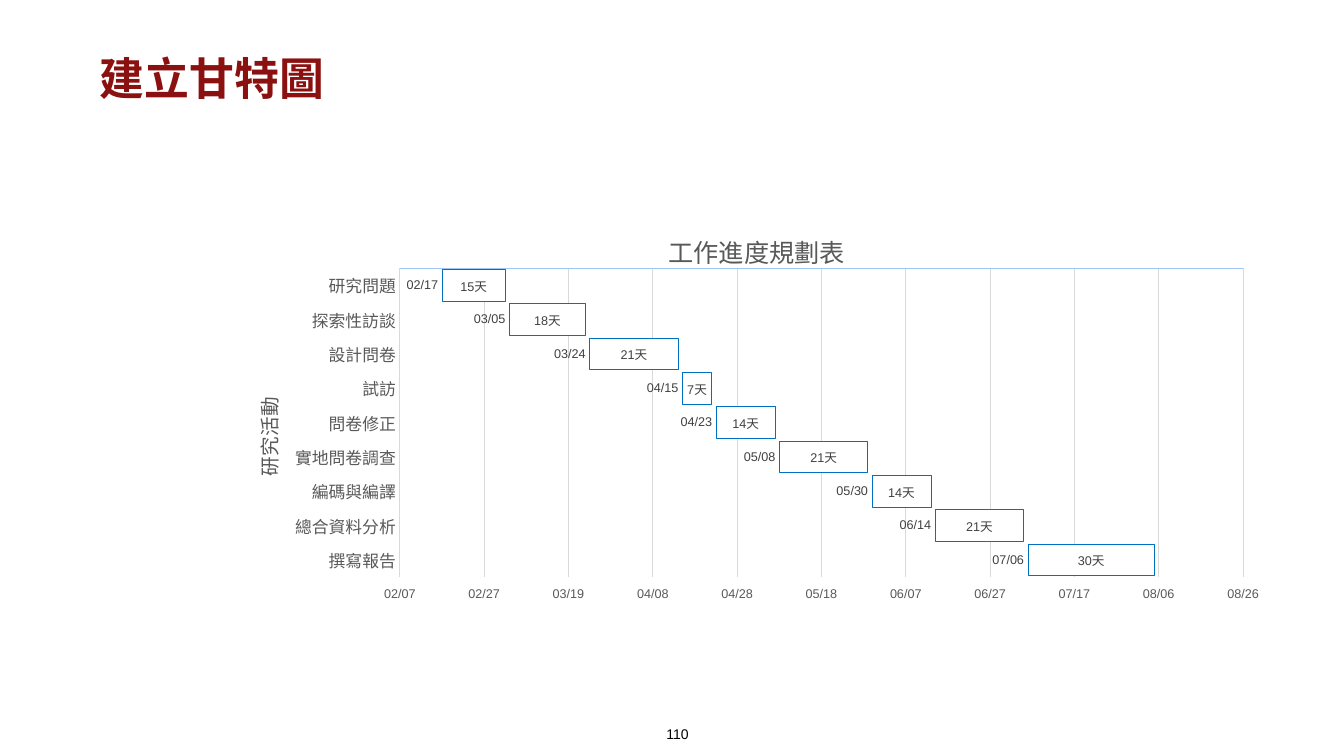
from lxml import etree
from pptx import Presentation
from pptx.chart.data import CategoryChartData
from pptx.dml.color import RGBColor
from pptx.enum import chart as kinds, text
from pptx.oxml.ns import qn
from pptx.util import Inches, Pt

MAROON = RGBColor(0x8B, 0x11, 0x11)
BLACK = RGBColor(0, 0, 0)
WHITE = RGBColor(0xFF, 0xFF, 0xFF)
GREY = RGBColor(0x59, 0x59, 0x59)
DARK = RGBColor(0x40, 0x40, 0x40)
GRID = RGBColor(0xD9, 0xD9, 0xD9)
SKY = RGBColor(0xA0, 0xC6, 0xF8)
BLUE = RGBColor(0x00, 0x70, 0xC0)

FIRST_DAY = 43138
TASKS = [
    ("研究問題", 43148, 15),
    ("探索性訪談", 43164, 18),
    ("設計問卷", 43183, 21),
    ("試訪", 43205, 7),
    ("問卷修正", 43213, 14),
    ("實地問卷調查", 43228, 21),
    ("編碼與編譯", 43250, 14),
    ("總合資料分析", 43265, 21),
    ("撰寫報告", 43287, 30),
]


def style(font, size, color, bold=False):
    font.name = "Arial"
    font.size = Pt(size)
    font.color.rgb = color
    font.bold = bold


def place(element, index, **settings):
    for old in element.findall(qn("c:layout")):
        element.remove(old)
    layout = etree.Element(qn("c:layout"))
    manual = etree.SubElement(layout, qn("c:manualLayout"))
    for name, value in settings.items():
        etree.SubElement(manual, qn("c:" + name)).set("val", str(value))
    element.insert(index, layout)


deck = Presentation()
deck.slide_width, deck.slide_height = Inches(13.33), Inches(7.5)
page = deck.slides.add_slide(deck.slide_layouts[5])

title = page.shapes.title
title.left, title.top = Inches(0.89), Inches(0.5)
title.width, title.height = Inches(10.33), Inches(0.53)
title.text_frame.text = "建立甘特圖"
title.text_frame.auto_size = text.MSO_AUTO_SIZE.NONE
title.text_frame.vertical_anchor = text.MSO_ANCHOR.MIDDLE
para = title.text_frame.paragraphs[0]
para.alignment = text.PP_ALIGN.LEFT
style(para.font, 32, MAROON, True)

number = page.shapes.add_textbox(Inches(6.11), Inches(7.15), Inches(1.22), Inches(0.29))
number.text_frame.word_wrap = True
para = number.text_frame.paragraphs[0]
para.text = "110"
para.alignment = text.PP_ALIGN.CENTER
style(para.font, 10, BLACK)

names, starts, days = zip(*TASKS)
data = CategoryChartData()
data.categories = names
data.add_series("Series 1", starts, "mm/dd")
data.add_series("Series 2", days, '0"天"')
gantt = page.shapes.add_chart(
    kinds.XL_CHART_TYPE.BAR_STACKED,
    Inches(2.15), Inches(1.99), Inches(10.56), Inches(4.07), data,
).chart
style(gantt.font, 10, BLACK)
gantt.has_legend = False

plot = gantt.plots[0]
plot.gap_width = 8
plot.overlap = 100
plot.vary_by_categories = False
for series, label_format in zip(plot.series, ("mm/dd", '0"天"')):
    labels = series.data_labels
    labels.show_value = True
    labels.number_format = label_format
    labels.number_format_is_linked = False
    style(labels.font, 9, DARK)

offset, duration = plot.series
offset.format.fill.background()
offset.format.line.fill.background()
offset.data_labels.position = kinds.XL_LABEL_POSITION.INSIDE_END
duration.format.fill.solid()
duration.format.fill.fore_color.rgb = WHITE
duration.format.line.color.rgb = BLUE
duration.format.line.width = Pt(0.75)
duration.data_labels.position = kinds.XL_LABEL_POSITION.CENTER

activities, dates = gantt.category_axis, gantt.value_axis
for axis, size, color in ((activities, 12, GRID), (dates, 9, SKY)):
    axis.major_tick_mark = axis.minor_tick_mark = kinds.XL_TICK_MARK.NONE
    axis.format.line.color.rgb = color
    axis.format.line.width = Pt(0.75)
    style(axis.tick_labels.font, size, GREY)

activities.reverse_order = True
activities.has_major_gridlines = False
dates.minimum_scale = FIRST_DAY
dates.maximum_scale = FIRST_DAY + 200
dates.major_unit = 20
dates.tick_label_position = kinds.XL_TICK_LABEL_POSITION.HIGH
dates.tick_labels.number_format = "mm/dd"
dates.tick_labels.number_format_is_linked = False
dates.has_major_gridlines = True
dates.major_gridlines.format.line.color.rgb = GRID
dates.major_gridlines.format.line.width = Pt(0.75)

headings = (
    (gantt.chart_title, "工作進度規劃表", 18, 0.42, 0.06),
    (activities.axis_title, "研究活動", 14, 0.03, 0.47),
)
for heading, words, size, x, y in headings:
    heading.text_frame.text = words
    style(heading.text_frame.paragraphs[0].font, size, GREY)
    place(heading._element, 1, xMode="edge", yMode="edge", x=x, y=y)
turn = activities.axis_title._element.find(".//" + qn("a:bodyPr"))
turn.set("rot", "-5400000")
turn.set("vert", "horz")

plot_area = gantt._chartSpace.find(".//" + qn("c:plotArea"))
place(plot_area, 0, layoutTarget="inner", xMode="edge", yMode="edge",
      x=0.172, y=0.165, w=0.792, h=0.753)

deck.save("out.pptx")
